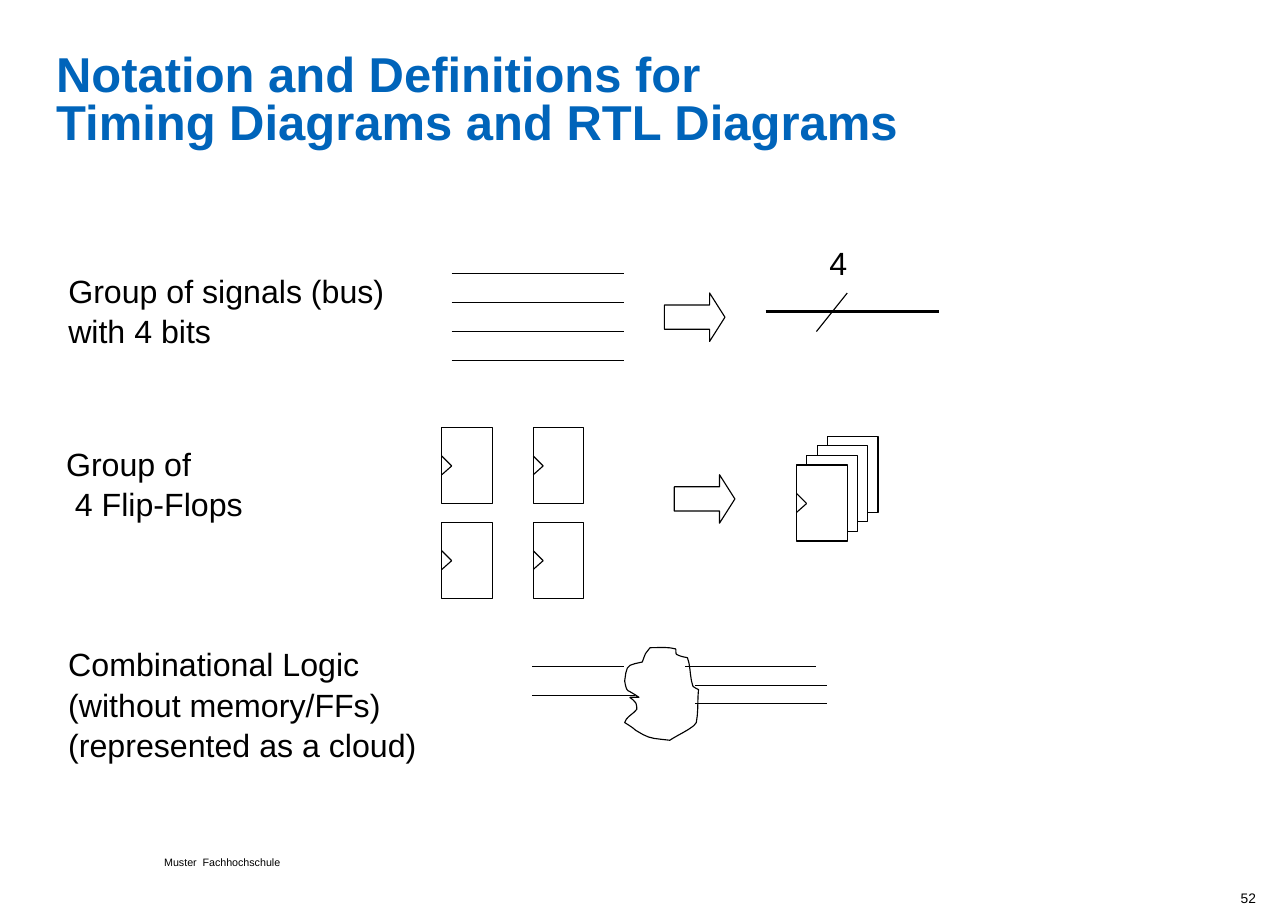
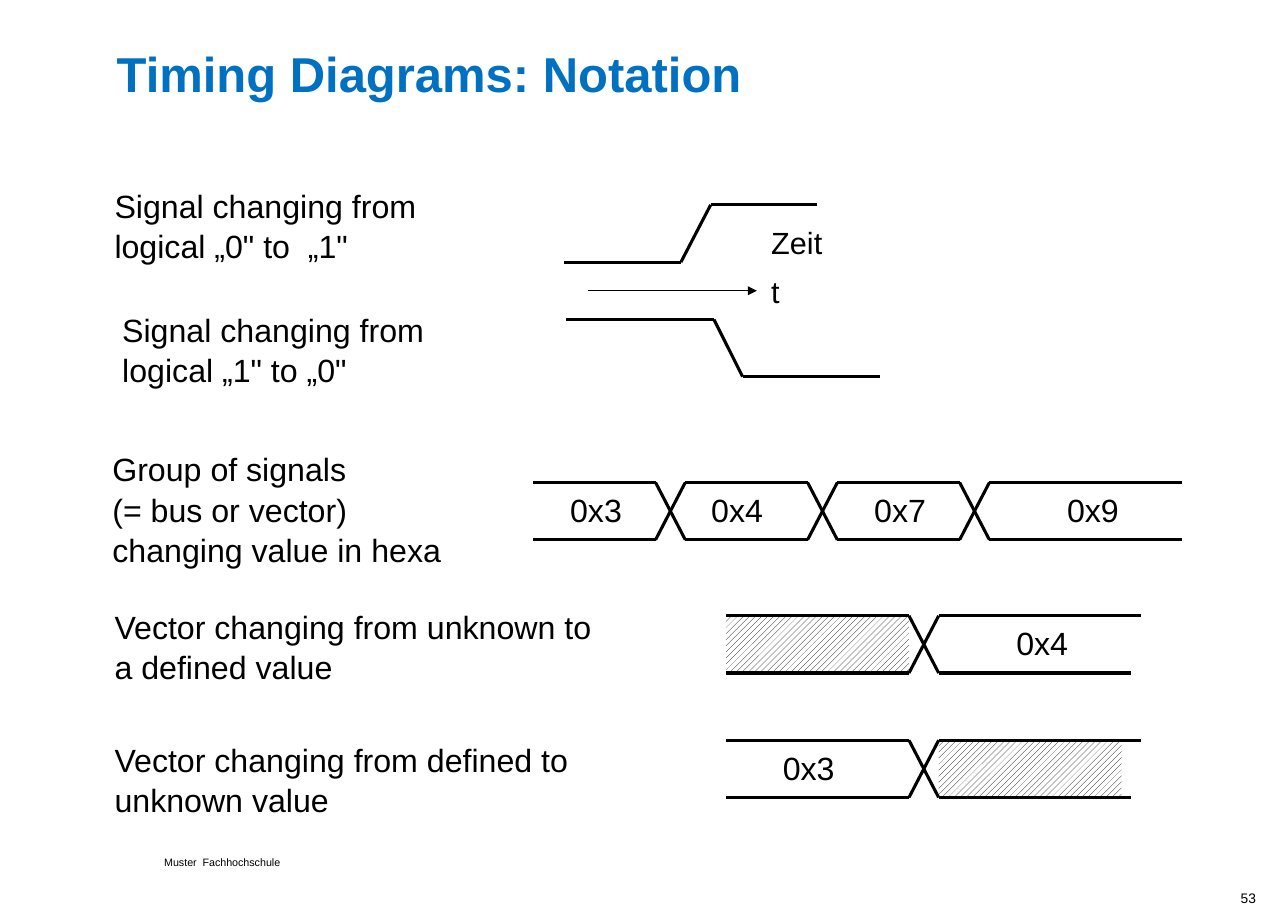
from dataclasses import dataclass

from lxml.etree import SubElement
from pptx import Presentation
from pptx.dml.color import RGBColor as Rgb
from pptx.enum.dml import MSO_PATTERN_TYPE as Pattern
from pptx.enum.shapes import MSO_CONNECTOR as Conn, MSO_SHAPE as Shape
from pptx.enum.text import MSO_ANCHOR as Anchor, PP_ALIGN as Align
from pptx.oxml.ns import qn
from pptx.util import Inches, Pt


@dataclass(frozen=True)
class Theme:
    """Colours, font, type sizes and line widths of the deck."""
    font: str = "Arial"
    ink: Rgb = Rgb(0, 0, 0)
    paper: Rgb = Rgb(255, 255, 255)
    blue: Rgb = Rgb(0x00, 0x64, 0xBA)
    sky: Rgb = Rgb(0x00, 0x70, 0xC0)
    title: int = 32
    body: int = 21
    axis: int = 20
    page: int = 9
    foot: int = 7
    thin: float = 0.75
    edge: float = 2
    rail: float = 2.25


T = Theme()
PAD = (0.11, 0.06)
CROSS = 0.27  # width of a value change on a bus
HIGH = 0.52   # height between the low and high level

# Start point, then two controls and an end point for each curve
CLOUD = [
    (5.8, 6.33), (5.77, 6.31), (5.74, 6.29), (5.7, 6.27),
    (5.68, 6.26), (5.67, 6.18), (5.67, 6.18),
    (5.69, 6.03), (5.69, 6.04), (5.83, 6.01),
    (5.87, 5.9), (5.85, 5.95), (5.9, 5.88),
    (5.97, 5.88), (6.05, 5.87), (6.13, 5.89),
    (6.14, 5.89), (6.13, 5.93), (6.14, 5.94),
    (6.17, 5.96), (6.24, 5.97), (6.24, 5.97),
    (6.27, 6.05), (6.26, 6.15), (6.29, 6.23),
    (6.3, 6.24), (6.32, 6.25), (6.34, 6.26),
    (6.33, 6.36), (6.34, 6.46), (6.32, 6.56),
    (6.31, 6.6), (6.14, 6.68), (6.13, 6.69),
    (6.11, 6.7), (6.08, 6.72), (6.08, 6.72),
    (5.91, 6.7), (5.9, 6.71), (5.77, 6.63),
    (5.74, 6.6), (5.67, 6.56), (5.67, 6.56),
    (5.69, 6.5), (5.74, 6.49), (5.78, 6.44),
    (5.78, 6.42), (5.78, 6.4), (5.77, 6.38),
    (5.73, 6.32), (5.66, 6.33), (5.8, 6.33),
]


def text(slide, box, lines, size, color=T.ink, bold=False, align=Align.LEFT,
         pad=(0, 0), wrap=True, space=None, anchor=Anchor.TOP):
    """Add a text box with one run for each line."""
    frame = slide.shapes.add_textbox(*map(Inches, box)).text_frame
    frame.word_wrap = wrap
    frame.vertical_anchor = anchor
    frame.margin_left = frame.margin_right = Inches(pad[0])
    frame.margin_top = frame.margin_bottom = Inches(pad[1])
    para = frame.paragraphs[0]
    para.alignment = align
    para.line_spacing = space
    for i, line in enumerate(lines):
        if i:
            para.add_line_break()
        run = para.add_run()
        run.text = line
        run.font.name = T.font
        run.font.size = Pt(size)
        run.font.bold = bold
        run.font.color.rgb = color


def label(slide, left, top, width, *lines):
    """Add the description of a diagram."""
    text(slide, (left, top, width, 0.82), lines, T.body, pad=PAD, space=1.04)


def value(slide, left, top, word, width=0.7):
    """Add a centred value on a signal."""
    text(slide, (left, top, width, 0.47), [word], T.body,
         align=Align.CENTER, pad=PAD, wrap=False, space=1.04)


def line(slide, start, end, width=T.thin, head=False):
    """Draw a straight line, with an arrowhead at its end if wanted."""
    points = [Inches(v) for v in (*start, *end)]
    conn = slide.shapes.add_connector(Conn.STRAIGHT, *points)
    conn.line.color.rgb = T.ink
    conn.line.width = Pt(width)
    props = conn._element.spPr
    if head:
        SubElement(props.find(qn("a:ln")), qn("a:tailEnd"), type="triangle")
    SubElement(props, qn("a:effectLst"))


def trace(slide, points, width=T.thin):
    """Join points with straight lines."""
    for start, end in zip(points, points[1:]):
        line(slide, start, end, width)


def outline(shape):
    """Give a shape a thin dark line and no shadow."""
    shape.shadow.inherit = False
    shape.line.color.rgb = T.ink
    shape.line.width = Pt(T.thin)


def arrow(slide, left, top):
    """Add a hollow block arrow."""
    box = map(Inches, (left, top, 0.55, 0.44))
    shape = slide.shapes.add_shape(Shape.RIGHT_ARROW, *box)
    shape.adjustments[1] = 0.317
    shape.fill.background()
    outline(shape)


def flop(slide, left, top, clock=True):
    """Add a flip-flop, with its clock mark if wanted."""
    box = map(Inches, (left, top, 0.46, 0.69))
    shape = slide.shapes.add_shape(Shape.RECTANGLE, *box)
    shape.fill.solid()
    shape.fill.fore_color.rgb = T.paper
    outline(shape)
    if clock:
        trace(slide, [(left, top + 0.26), (left + 0.09, top + 0.35),
                      (left, top + 0.43)])


def hatch(slide, left, top):
    """Fill the span of an unknown value with diagonal strokes."""
    box = map(Inches, (left, top, 1.66, HIGH))
    shape = slide.shapes.add_shape(Shape.RECTANGLE, *box)
    shape.shadow.inherit = False
    shape.line.fill.background()
    shape.fill.patterned()
    shape.fill.pattern = Pattern.WIDE_UPWARD_DIAGONAL
    shape.fill.fore_color.rgb = T.ink
    shape.fill.back_color.rgb = T.paper


def cloud(slide, points, steps=5):
    """Draw a closed outline through cubic curves."""
    dots = []
    for i in range(0, len(points) - 1, 3):
        for n in range(1, steps + 1):
            t = n / steps
            mix = ((1 - t) ** 3, 3 * t * (1 - t) ** 2,
                   3 * t * t * (1 - t), t ** 3)
            dots.append(tuple(
                Inches(sum(m * p[k] for m, p in zip(mix, points[i:i + 4])))
                for k in (0, 1)))
    pen = slide.shapes.build_freeform(*dots[-1])
    pen.add_line_segments(dots, close=True)
    shape = pen.convert_to_shape()
    shape.fill.background()
    outline(shape)


def bus(slide, top, left, turns, right, low):
    """Draw a bus whose value changes at each turn."""
    starts = [left] + [x + CROSS for x in turns]
    for y, end in ((top, right), (top + HIGH, low)):
        for a, b in zip(starts, turns + [end]):
            line(slide, (a, y), (b, y), T.rail)
    for x in turns:
        line(slide, (x, top + HIGH), (x + CROSS, top), T.edge)
        line(slide, (x, top), (x + CROSS, top + HIGH), T.edge)


def page(deck, number, left, color, *title):
    """Add a slide with its title, footer and page number."""
    slide = deck.slides.add_slide(deck.slide_layouts[6])
    text(slide, (1.49, 7.79, 1.32, 0.1), ["Muster  Fachhochschule"], T.foot,
         space=Pt(T.foot))
    text(slide, (10.07, 8.08, 1.33, 0.21), [number], T.page,
         align=Align.RIGHT)
    text(slide, (left, 0.48, 9.94, 1.01), title, T.title, color, True,
         space=Pt(T.title))
    return slide


def rtl(deck):
    """Build the slide on signal groups, flip-flops and logic."""
    slide = page(deck, "52", 0.51, T.blue, "Notation and Definitions for ",
                 "Timing Diagrams and RTL Diagrams")

    label(slide, 0.51, 2.39, 3.22, "Group of signals (bus) ", "with 4 bits")
    for i in range(4):
        y = 2.48 + 0.263 * i
        line(slide, (4.1, y), (5.66, y))
    arrow(slide, 6.03, 2.66)
    line(slide, (6.95, 2.83), (8.52, 2.83), T.rail)
    line(slide, (7.69, 2.66), (7.41, 3.01))
    value(slide, 7.41, 2.14, "4", 0.4)

    label(slide, 0.49, 3.96, 3.04, "Group of ", " 4 Flip-Flops")
    for row in range(2):
        for col in range(2):
            flop(slide, 4.01 + 0.83 * col, 3.88 + 0.86 * row)
    arrow(slide, 6.12, 4.31)
    for i in range(4):
        flop(slide, 7.51 - 0.093 * i, 3.96 + 0.087 * i, clock=i == 3)

    label(slide, 0.51, 5.78, 3.5,
          "Combinational Logic (without memory/FFs)",
          "(represented as a cloud)")
    cloud(slide, CLOUD)
    for a, b, y in ((4.83, 5.66, 6.05), (4.83, 5.76, 6.31),
                    (6.22, 7.41, 6.05), (6.31, 7.51, 6.22),
                    (6.31, 7.51, 6.39)):
        line(slide, (a, y), (b, y))


def timing(deck):
    """Build the slide on timing diagrams."""
    slide = page(deck, "53", 1.06, T.sky, "Timing Diagrams: Notation")

    label(slide, 0.93, 1.62, 3.33,
          "Signal changing from logical „0\" to  „1\"")
    trace(slide, [(5.12, 2.38), (6.18, 2.38), (6.45, 1.86), (7.42, 1.86)],
          T.edge)
    line(slide, (5.34, 2.64), (6.87, 2.64), head=True)
    text(slide, (7, 1.92, 0.62, 0.89), ["Zeit", "t"], T.axis, wrap=False,
         space=Pt(32), anchor=Anchor.BOTTOM)
    label(slide, 1, 2.74, 3.33, "Signal changing from logical „1\" to „0\"")
    trace(slide, [(5.14, 2.9), (6.48, 2.9), (6.74, 3.42), (7.99, 3.42)],
          T.edge)

    label(slide, 0.91, 4.01, 4.21, "Group of signals ", "(= bus or vector) ",
          "changing value in hexa")
    bus(slide, 4.38, 4.84, [5.95 + 1.38 * i for i in range(3)], 10.73, 10.73)
    for x, word in ((5.06, "0x3"), (6.34, "0x4"), (7.82, "0x7"),
                    (9.57, "0x9")):
        value(slide, x, 4.38, word)

    label(slide, 0.93, 5.44, 4.74,
          "Vector changing from unknown to a defined value ")
    label(slide, 0.93, 6.65, 5.2,
          "Vector changing from defined to unknown value ")
    for top, blur, x, word in ((5.59, 6.59, 9.11, "0x4"),
                               (6.72, 8.52, 6.99, "0x3")):
        hatch(slide, blur, top)
        bus(slide, top, 6.59, [8.25], 10.36, 10.27)
        value(slide, x, top, word)


def main():
    """Build the deck and save it."""
    deck = Presentation()
    deck.slide_width, deck.slide_height = Inches(11.69), Inches(8.27)
    rtl(deck)
    timing(deck)
    deck.save("out.pptx")


main()
